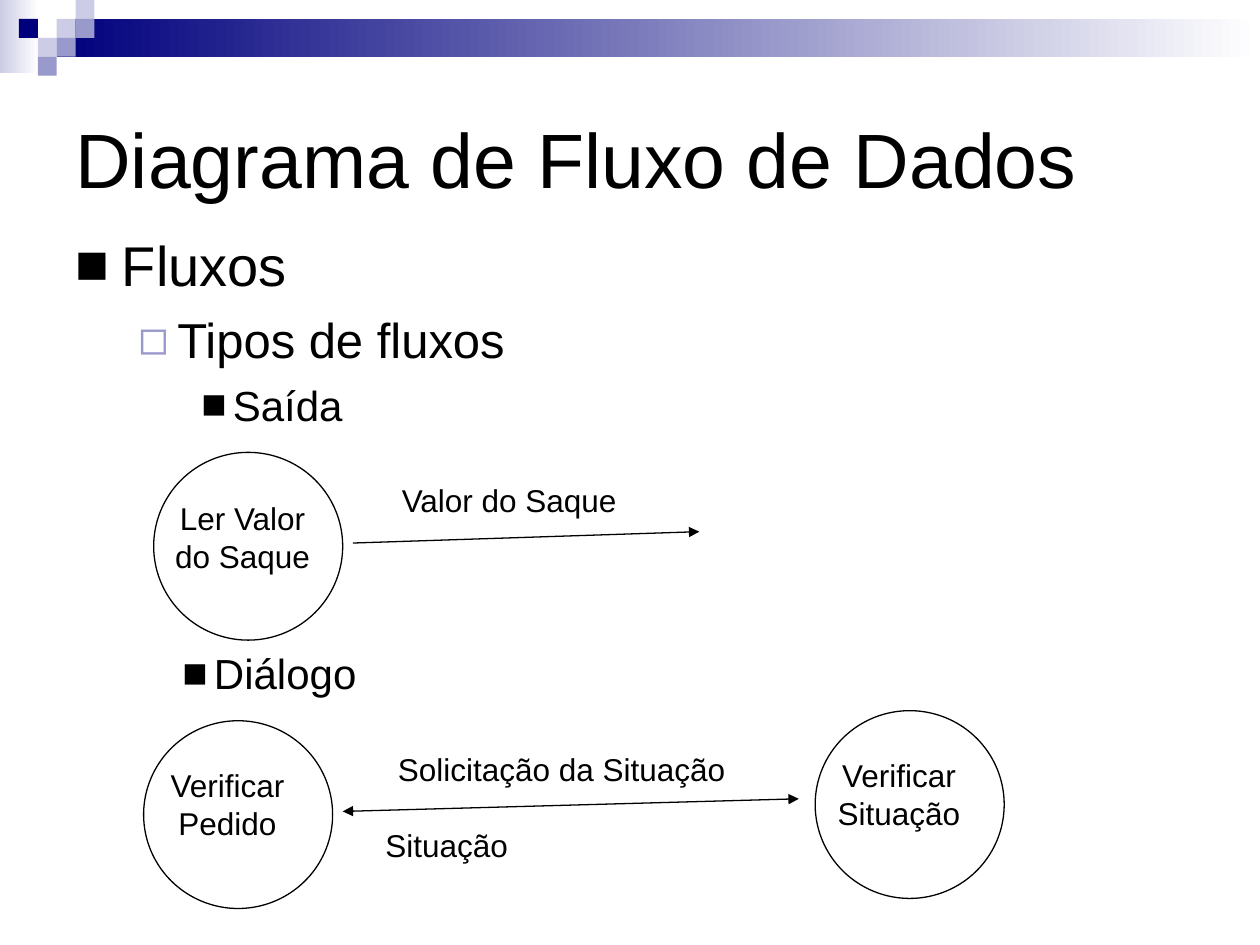
from dataclasses import dataclass

from lxml.etree import SubElement
from pptx import Presentation
from pptx.dml.color import RGBColor
from pptx.enum.shapes import MSO_CONNECTOR, MSO_SHAPE
from pptx.enum.text import MSO_ANCHOR, MSO_AUTO_SIZE, PP_ALIGN
from pptx.oxml.ns import qn
from pptx.util import Inches, Pt


@dataclass(frozen=True)
class Theme:
    """Colours, font and type sizes of the slide."""

    font: str = "Arial"
    black: str = "000000"
    white: str = "FFFFFF"
    navy: str = "00007D"
    lilac: str = "9999CC"
    pale: str = "CCCCE6"
    title_size: int = 44
    label_size: int = 18
    bullet_sizes: tuple = (32, 28, 24)
    bullet_spaces: tuple = (8, 7, 6)
    bullet_indents: tuple = ((0.37, 0.37), (0.81, 0.31), (1.25, 0.25))
    bullet_marks: tuple = (("■", "000000"), ("◻", "9999CC"), ("■", "000000"))
    line_width: float = 0.75


THEME = Theme()


def add_shape(slide, kind, box):
    """Add a preset shape without shadow in the given box."""
    shape = slide.shapes.add_shape(kind, *map(Inches, box))
    shape.shadow.inherit = False
    return shape


def add_band(slide, box, left_color):
    """Add a band fading from white at the right to a colour at the left."""
    band = add_shape(slide, MSO_SHAPE.RECTANGLE, box)
    band.line.fill.background()
    band.fill.gradient()
    band.fill.gradient_angle = 180
    for stop, color in zip(band.fill.gradient_stops, (THEME.white, left_color)):
        stop.color.rgb = RGBColor.from_string(color)


def add_header(slide, left, top):
    """Place the gradient bands and the corner mosaic."""
    add_band(slide, (left, top, 0.31, 0.58), THEME.pale)
    add_band(slide, (left + 0.45, top + 0.15, 9.54, 0.3), THEME.navy)
    side = 0.15
    tiles = (
        (3, 1, THEME.pale), (4, 0, THEME.pale), (4, 1, THEME.lilac),
        (2, 2, THEME.pale), (1, 1, THEME.navy), (3, 2, THEME.lilac),
        (2, 3, THEME.lilac),
    )
    for column, row, color in tiles:
        box = (left + column * side, top + row * side, side, side)
        tile = add_shape(slide, MSO_SHAPE.RECTANGLE, box)
        tile.fill.solid()
        tile.fill.fore_color.rgb = RGBColor.from_string(color)
        tile.line.fill.background()


def add_text(slide, box, lines, size, wrap=True, alignment=PP_ALIGN.LEFT):
    """Add a text box with one paragraph per line and return its frame."""
    frame = slide.shapes.add_textbox(*map(Inches, box)).text_frame
    frame.word_wrap = wrap
    frame.auto_size = MSO_AUTO_SIZE.NONE if wrap else MSO_AUTO_SIZE.SHAPE_TO_FIT_TEXT
    frame.text = "\n".join(lines)
    for paragraph in frame.paragraphs:
        paragraph.alignment = alignment
        paragraph.font.name = THEME.font
        paragraph.font.size = Pt(size)
        paragraph.font.color.rgb = RGBColor.from_string(THEME.black)
    return frame


def add_title(slide, box, text):
    """Place the slide title, centred vertically in its box."""
    frame = add_text(slide, box, [text], THEME.title_size)
    frame.vertical_anchor = MSO_ANCHOR.MIDDLE


def add_bullets(slide, box, items):
    """Place bulleted lines given as pairs of level and text."""
    frame = add_text(slide, box, [text for _, text in items], THEME.label_size)
    for paragraph, (level, _) in zip(frame.paragraphs, items):
        paragraph.level = level
        paragraph.font.size = Pt(THEME.bullet_sizes[level])
        paragraph.space_before = Pt(THEME.bullet_spaces[level])
        margin, hanging = THEME.bullet_indents[level]
        mark, color = THEME.bullet_marks[level]
        properties = paragraph._p.get_or_add_pPr()
        properties.set("marL", str(Inches(margin)))
        properties.set("indent", str(-Inches(hanging)))
        bullet_color = SubElement(properties, qn("a:buClr"))
        SubElement(bullet_color, qn("a:srgbClr"), val=color)
        SubElement(properties, qn("a:buFont"), typeface=THEME.font)
        SubElement(properties, qn("a:buChar"), char=mark)
        properties.append(properties.find(qn("a:defRPr")))


def add_process(slide, box, label_box, lines):
    """Place a process circle and its centred label."""
    circle = add_shape(slide, MSO_SHAPE.OVAL, box)
    circle.fill.background()
    circle.line.color.rgb = RGBColor.from_string(THEME.black)
    circle.line.width = Pt(THEME.line_width)
    add_text(slide, label_box, lines, THEME.label_size, False, PP_ALIGN.CENTER)


def add_flow(slide, start, end, arrow_ends):
    """Draw a data flow with arrowheads at the named ends."""
    points = map(Inches, (*start, *end))
    flow = slide.shapes.add_connector(MSO_CONNECTOR.STRAIGHT, *points)
    flow.line.color.rgb = RGBColor.from_string(THEME.black)
    flow.line.width = Pt(THEME.line_width)
    for arrow_end in arrow_ends:
        SubElement(flow.line._get_or_add_ln(), qn(f"a:{arrow_end}"), type="triangle")
    SubElement(flow._element.spPr, qn("a:effectLst"))


def add_output_diagram(slide, left, top):
    """Place the diagram of an output flow."""
    add_process(slide, (left, top, 1.5, 1.49), (left + 0.07, top + 0.32, 1.27, 0.7),
                ["Ler Valor", "do Saque"])
    add_flow(slide, (left + 1.58, top + 0.72), (left + 4.33, top + 0.63), ["tailEnd"])
    add_text(slide, (left + 1.87, top + 0.18, 1.92, 0.4), ["Valor do Saque"],
             THEME.label_size, False)


def add_dialogue_diagram(slide, left, top):
    """Place the diagram of a dialogue flow between two processes."""
    add_process(slide, (left, top + 0.08, 1.5, 1.49), (left + 0.11, top + 0.39, 1.11, 0.7),
                ["Verificar", "Pedido"])
    add_flow(slide, (left + 1.58, top + 0.8), (left + 5.2, top + 0.7),
             ["headEnd", "tailEnd"])
    add_text(slide, (left + 1.92, top + 0.26, 2.8, 0.4), ["Solicitação da Situação"],
             THEME.label_size, False)
    add_text(slide, (left + 1.82, top + 0.87, 1.17, 0.4), ["Situação"],
             THEME.label_size, False)
    add_process(slide, (left + 5.33, top, 1.5, 1.49), (left + 5.41, top + 0.31, 1.17, 0.7),
                ["Verificar", "Situação"])


def main():
    """Build the slide and save it."""
    presentation = Presentation()
    presentation.slide_width, presentation.slide_height = Inches(10), Inches(7.5)
    slide = presentation.slides.add_slide(presentation.slide_layouts[6])
    add_header(slide, 0, 0)
    add_title(slide, (0.5, 0.5, 9, 1.5), "Diagrama de Fluxo de Dados")
    add_bullets(slide, (0.5, 1.78, 9, 1.73),
                [(0, "Fluxos"), (1, "Tipos de fluxos"), (2, "Saída")])
    add_output_diagram(slide, 1.22, 3.59)
    add_bullets(slide, (0.35, 5.09, 9, 0.63), [(2, "Diálogo")])
    add_dialogue_diagram(slide, 1.14, 5.64)
    presentation.save("out.pptx")


if __name__ == "__main__":
    main()
